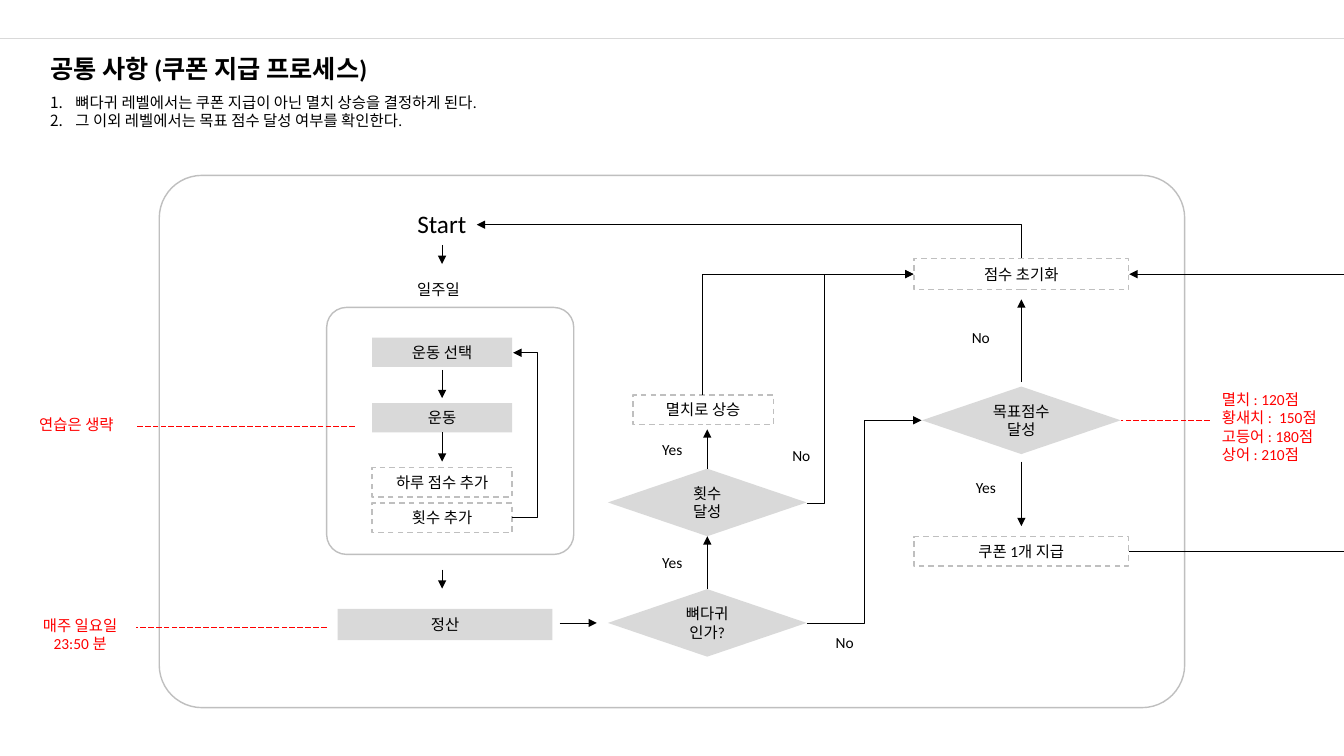
from pptx import Presentation
from pptx import util as u
from pptx.dml.color import RGBColor
from pptx.enum import dml, shapes, text
from pptx.oxml.ns import qn
from lxml import etree

COLORS = {"ink": "000000", "red": "FF0000", "gray": "D9D9D9", "edge": "BFBFBF"}
COLUMNS, ROWS = 133.3, 75  # grid cells of a tenth of an inch
DASH = dml.MSO_LINE.DASH
LONG_DASH = dml.MSO_LINE.LONG_DASH
CENTER = text.PP_ALIGN.CENTER


def apply(target, values):
    """Set every attribute named in a dict."""
    for name, value in values.items():
        setattr(target, name, value)


def add_xml(parent, tag, **attributes):
    """Append a DrawingML element to its parent."""
    return etree.SubElement(parent, qn("a:" + tag), attributes)


class FlowSlide:
    """Holds the style and the slide that is being filled."""

    font = "Calibri"
    body_size = 11

    def __init__(self, deck):
        """Add a blank slide and measure its grid."""
        self.page = deck.slides.add_slide(deck.slide_layouts[6])
        self.cell_width = deck.slide_width / COLUMNS
        self.cell_height = deck.slide_height / ROWS

    def x(self, columns):
        """Turn columns into a length."""
        return u.Emu(round(columns * self.cell_width))

    def y(self, rows):
        """Turn rows into a length."""
        return u.Emu(round(rows * self.cell_height))

    def area(self, left, top, width, height):
        """Turn a grid area into lengths."""
        return self.x(left), self.y(top), self.x(width), self.y(height)

    def fill_text(self, frame, lines, color="ink", size=body_size, bold=False,
                  align=None, numbered=False):
        """Fill a text frame, one paragraph a line."""
        for index, line in enumerate(lines.split("\n")):
            para = frame.add_paragraph() if index else frame.paragraphs[0]
            para.alignment = align
            span = para.add_run()
            span.text = line
            apply(span.font, {"name": self.font, "size": u.Pt(size), "bold": bold})
            span.font.color.rgb = RGBColor.from_string(COLORS[color])
            if numbered:
                props = para._p.get_or_add_pPr()
                indent = u.Inches(0.25)
                props.set("marL", str(indent))
                props.set("indent", str(-indent))
                add_xml(props, "buAutoNum", type="arabicPeriod")

    def label(self, lines, left, top, width, height=2.9, wrap=False, **style):
        """Add free text."""
        box = self.page.shapes.add_textbox(*self.area(left, top, width, height))
        apply(box.text_frame, {"word_wrap": wrap,
                               "auto_size": text.MSO_AUTO_SIZE.SHAPE_TO_FIT_TEXT})
        self.fill_text(box.text_frame, lines, **style)

    def outline(self, line, color, width, dash=None):
        """Style a line."""
        line.color.rgb = RGBColor.from_string(COLORS[color])
        apply(line, {"width": u.Pt(width), "dash_style": dash})

    def shape(self, kind, area, filled=False, dash=None):
        """Add a preset shape, either filled gray or only outlined."""
        box = self.page.shapes.add_shape(kind, *self.area(*area))
        box.shadow.inherit = False
        if filled:
            box.fill.solid()
            box.fill.fore_color.rgb = RGBColor.from_string(COLORS["gray"])
            box.line.fill.background()
        else:
            box.fill.background()
            self.outline(box.line, "edge", 1, dash)
        return box

    def frame(self, *area):
        """Add a rounded frame around a group of steps."""
        box = self.shape(shapes.MSO_SHAPE.ROUNDED_RECTANGLE, area)
        box.adjustments[0] = 0.08

    def node(self, lines, center, middle, width=13.9, height=2.9, filled=False,
             kind=shapes.MSO_SHAPE.RECTANGLE):
        """Add a step with centred text around a point."""
        area = center - width / 2, middle - height / 2, width, height
        box = self.shape(kind, area, filled, DASH)
        apply(box.text_frame, {"word_wrap": True,
                               "vertical_anchor": text.MSO_ANCHOR.MIDDLE})
        self.fill_text(box.text_frame, lines, align=CENTER)

    def decision(self, lines, center, middle):
        """Add a diamond."""
        self.node(lines, center, middle, 19.7, 6.7, True, shapes.MSO_SHAPE.DIAMOND)

    def link(self, start, end, via=None, color="ink", dash=None, arrow=True):
        """Add a line; an elbow turns at column via."""
        kind = shapes.MSO_CONNECTOR.STRAIGHT if via is None else shapes.MSO_CONNECTOR.ELBOW
        line = self.page.shapes.add_connector(
            kind, self.x(start[0]), self.y(start[1]), self.x(end[0]), self.y(end[1]))
        self.outline(line.line, color, 0.5, dash)
        props = line._element.spPr
        if arrow:
            add_xml(props.find(qn("a:ln")), "tailEnd", type="triangle")
        add_xml(props, "effectLst")
        if via is not None:
            turn = round((via - start[0]) / (end[0] - start[0]) * 100000)
            guides = props.find(qn("a:prstGeom")).get_or_add_avLst()
            add_xml(guides, "gd", name="adj1", fmla=f"val {turn}")


deck = Presentation()
apply(deck, {"slide_width": u.Inches(13.33), "slide_height": u.Inches(7.5)})
flow = FlowSlide(deck)

# Heading
flow.link((0, 3.8), (COLUMNS, 3.8), color="gray", arrow=False)
flow.label("공통 사항 (쿠폰 지급 프로세스)", 4, 4.8, 36.2, 4, size=18, bold=True)
flow.label("뼈다귀 레벨에서는 쿠폰 지급이 아닌 멸치 상승을 결정하게 된다.\n"
           "그 이외 레벨에서는 목표 점수 달성 여부를 확인한다.",
           4, 8.7, 61.6, 4.7, wrap=True, numbered=True)

# Frames and nodes
WEEK, CHECK, GOAL = 43.85, 70.15, 101.3
flow.frame(15.8, 17.4, 101.7, 52.8)
flow.frame(32.4, 30.5, 24.5, 24.5)
for name, middle, filled in [("운동 선택", 34.95, True), ("운동", 41.45, True),
                             ("하루 점수 추가", 47.85, False), ("횟수 추가", 51.35, False)]:
    flow.node(name, WEEK, middle, filled=filled)
flow.node("정산", 44.15, 61.95, 21.3, 3.1, True)
flow.node("멸치로 상승", 69.75, 40.65)
flow.node("점수 초기화", GOAL, 27.2, 21.3, 3.1)
flow.node("쿠폰 1개 지급", GOAL, 54.7, 21.3)
flow.decision("목표점수 달성", GOAL, 41.7)
flow.decision("횟수\n달성", CHECK, 49.85)
flow.decision("뼈다귀\n인가?", CHECK, 61.8)

# Labels
flow.label("Start", 40.4, 20.2, 6.9, 4, size=18)
flow.label("일주일", 40.4, 27.3, 6.6)
for answer, left, top in [("No", 95.4, 32.1), ("Yes", 95.8, 46.9), ("Yes", 64.7, 54.4),
                          ("No", 81.9, 62.3), ("Yes", 64.7, 43.2), ("No", 77.6, 43.8)]:
    flow.label(answer, left, top, 4)
flow.label("연습은 생략", 2.9, 40.7, 10.1, color="red")
flow.label("매주 일요일\n23:50 분", 2.9, 60.6, 10.1, 4.7, color="red", align=CENTER)
flow.label("멸치 : 120점\n황새치 :  150점\n고등어 : 180점\n상어 : 210점",
           120.2, 38.2, 12, 8.4, wrap=True, color="red")

# Vertical arrows
for column, start, end in [(WEEK, 24.3, 26.2), (WEEK, 36.7, 39.5), (WEEK, 42.9, 45.8),
                           (WEEK, 56.5, 58.4), (CHECK, 58.4, 53.2), (CHECK, 46.5, 42.6),
                           (GOAL, 37.9, 29.7), (GOAL, 45.8, 52.2)]:
    flow.link((column, start), (column, end))

# Horizontal and bent arrows
flow.link((55.5, 61.8), (59.2, 61.8))
flow.link((50.8, 51.3), (50.9, 35), via=53.3)
flow.link((80, 61.8), (91.4, 41.7), via=85.7)
flow.link((80, 49.9), (90.6, 27.2), via=81.8)
flow.link((69.7, 39.2), (90.6, 27.2), via=69.7)
flow.link((GOAL, 25.6), (47.3, 22.3), via=GOAL)
flow.link((112, 54.7), (COLUMNS, 54.7), arrow=False)
flow.link((COLUMNS, 27.2), (112, 27.2))

# Dashed lines to the remarks
for start, end, row in [(35.2, 13.5, 42.3), (32.4, 13.5, 62.2), (120, 111.2, 41.7)]:
    flow.link((start, row), (end, row), color="red", dash=LONG_DASH, arrow=False)

deck.save("out.pptx")
